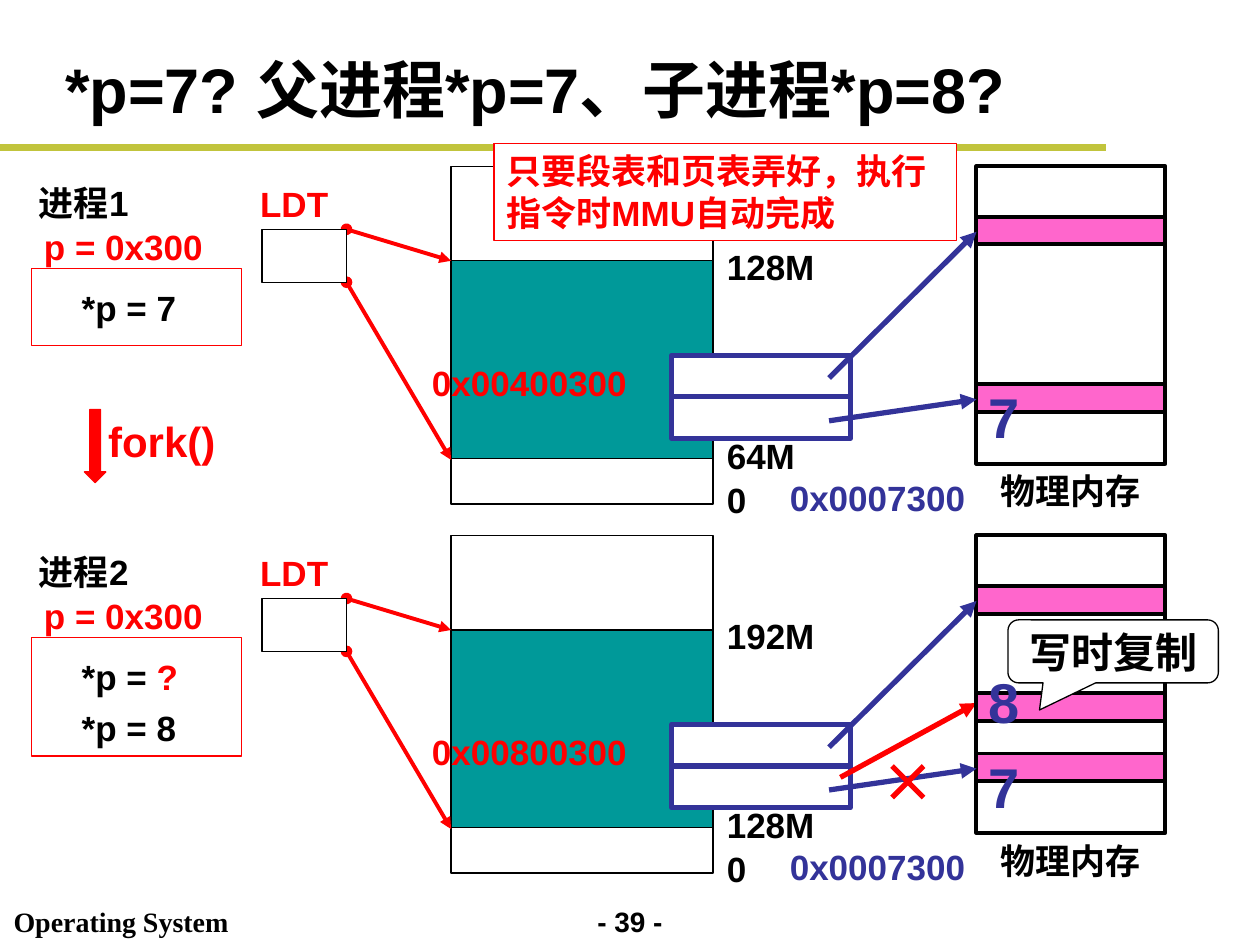
from typing import NamedTuple

from lxml import etree
from pptx import Presentation
from pptx.dml.color import RGBColor
from pptx.enum.shapes import MSO_CONNECTOR, MSO_SHAPE
from pptx.enum.text import MSO_ANCHOR, PP_ALIGN
from pptx.oxml.ns import qn
from pptx.util import Inches, Pt

RECTANGLE = MSO_SHAPE.RECTANGLE
DOWN_ARROW = MSO_SHAPE.DOWN_ARROW
CALLOUT = MSO_SHAPE.ROUNDED_RECTANGULAR_CALLOUT
STRAIGHT = MSO_CONNECTOR.STRAIGHT
LEFT, CENTER = PP_ALIGN.LEFT, PP_ALIGN.CENTER
TOP, MIDDLE = MSO_ANCHOR.TOP, MSO_ANCHOR.MIDDLE

COLORS = {
    "black": "000000",
    "white": "FFFFFF",
    "red": "FF0000",
    "blue": "333399",
    "teal": "009999",
    "pink": "FF66CC",
    "olive": "C1C43C",
}

SPACE_LEFT, SPACE_WIDTH = 3.58, 2.08
TABLE_LEFT, TABLE_WIDTH, ENTRY_HEIGHT = 5.33, 1.42, 0.33
MEMORY_LEFT, MEMORY_WIDTH, FRAME_HEIGHT = 7.75, 1.5, 0.22
LABEL_HEIGHT = 0.44


class Span(NamedTuple):
    text: str
    color: str = "black"


class Process(NamedTuple):
    top: float
    name: str
    code: list[list[Span]]
    code_height: float
    segment_end: str
    segment_start: str
    address: str


PROCESSES = [
    Process(1.32, "进程1", [[Span("*p = 7")]], 0.61, "128M", "64M", "0x00400300"),
    Process(4.25, "进程2", [[Span("*p = "), Span("?", "red")], [Span("*p = 8")]],
            0.94, "192M", "128M", "0x00800300"),
]


def rgb(name: str) -> RGBColor:
    return RGBColor.from_string(COLORS[name])


def write(shape, lines: list[list[Span]], size: float = 20, align=LEFT, anchor=TOP,
          font: str = "Arial", spacing: float = 1) -> None:
    frame = shape.text_frame
    frame.word_wrap = True
    frame.vertical_anchor = anchor
    for index, line in enumerate(lines):
        para = frame.add_paragraph() if index else frame.paragraphs[0]
        para.alignment = align
        para.line_spacing = spacing
        for span in line:
            run = para.add_run()
            run.text = span.text
            run.font.name = font
            run.font.size = Pt(size)
            run.font.bold = True
            run.font.color.rgb = rgb(span.color)


def add_label(page, left: float, top: float, width: float, text: str,
              color: str = "black", height: float = LABEL_HEIGHT, **style) -> None:
    box = page.shapes.add_textbox(Inches(left), Inches(top), Inches(width), Inches(height))
    write(box, [[Span(text, color)]], **style)


def add_block(page, left: float, top: float, width: float, height: float,
              fill: str | None = "white", line: str = "black",
              weight: float = 0.75, kind=RECTANGLE):
    block = page.shapes.add_shape(kind, Inches(left), Inches(top),
                                  Inches(width), Inches(height))
    block.shadow.inherit = False
    if fill:
        block.fill.solid()
        block.fill.fore_color.rgb = rgb(fill)
    else:
        block.fill.background()
    block.line.color.rgb = rgb(line)
    block.line.width = Pt(weight)
    return block


def add_line(page, start: tuple[float, float], end: tuple[float, float], color: str,
             weight: float = 3, head: str = "", tail: str = "") -> None:
    """Draw a straight line; head is the mark at its start, tail at its end."""
    line = page.shapes.add_connector(STRAIGHT, *(Inches(value) for value in start + end))
    line.line.color.rgb = rgb(color)
    line.line.width = Pt(weight)
    properties = line.line._get_or_add_ln()
    for tag, mark in (("a:headEnd", head), ("a:tailEnd", tail)):
        if mark:
            etree.SubElement(properties, qn(tag), type=mark)
    etree.SubElement(line._element.spPr, qn("a:effectLst"))


def add_memory_frame(page, top: float) -> None:
    add_block(page, MEMORY_LEFT, top, MEMORY_WIDTH, FRAME_HEIGHT, "pink", weight=2.25)


def add_value(page, top: float, value: str) -> None:
    add_label(page, MEMORY_LEFT, top, 0.83, value, "blue", height=0.64, size=32)


def draw_process(page, process: Process) -> None:
    """Draw the code, LDT, address space, page table and memory of one process."""
    top = process.top
    label_left = SPACE_LEFT + SPACE_WIDTH + 0.01

    add_block(page, SPACE_LEFT, top, SPACE_WIDTH, 2.68)
    add_label(page, label_left, top + 2.43, 0.5, "0")
    add_label(page, 0, top + 0.07, 1.33, process.name, align=CENTER)
    add_label(page, label_left, top + 0.58, 1.25, process.segment_end)
    add_label(page, label_left, top + 2.08, 1, process.segment_start)
    add_block(page, SPACE_LEFT, top + 0.75, SPACE_WIDTH, 1.57, "teal")
    for start, end in ((0.5, 0.75), (0.92, 2.33)):
        add_line(page, (2.75, top + start), (SPACE_LEFT, top + end), "red",
                 2.25, "oval", "triangle")
    add_block(page, 2.08, top + 0.5, 0.67, 0.42)
    add_label(page, 1.67, top + 0.08, 1.33, "LDT", "red", align=CENTER)

    add_block(page, MEMORY_LEFT, top, MEMORY_WIDTH, 2.36, None, weight=2.25)
    for offset in (0.4, 1.73):
        add_memory_frame(page, top + offset)
    add_label(page, MEMORY_LEFT, top + 2.36, MEMORY_WIDTH, "物理内存", align=CENTER)

    add_block(page, 0.25, top + 0.81, 1.67, process.code_height, line="red")
    code = page.shapes.add_textbox(Inches(0.55), Inches(top + 0.84),
                                   Inches(0.97), Inches(process.code_height - 0.06))
    write(code, process.code, spacing=1.2)

    for entry in (1, 0):
        add_block(page, TABLE_LEFT, top + 1.5 + entry * ENTRY_HEIGHT,
                  TABLE_WIDTH, ENTRY_HEIGHT, line="blue", weight=3)
    for start, end in ((2.02, 1.85), (1.68, 0.52)):
        add_line(page, (6.58, top + start), (MEMORY_LEFT, top + end), "blue",
                 tail="triangle")
    add_label(page, 0.25, top + 0.42, 2.08, "p = 0x300", "red")
    add_label(page, 3.33, top + 1.5, 2.17, process.address, "red")
    add_label(page, 6.17, top + 2.41, 2.17, "0x0007300", "blue")
    add_value(page, top + 1.67, "7")


def draw_copy_on_write(page) -> None:
    add_line(page, (6.67, 6.17), (MEMORY_LEFT, 5.58), "red", tail="triangle")
    add_memory_frame(page, 5.5)
    add_value(page, 5.25, "8")
    callout = add_block(page, 8, 4.92, 1.67, 0.5, kind=CALLOUT)
    for index, value in enumerate((-0.35, 0.93, 0.17)):
        callout.adjustments[index] = value
    write(callout, [[Span("写时复制")]], 24, CENTER, MIDDLE)
    for start, end in ((7.08, 7.33), (7.33, 7.08)):
        add_line(page, (start, 6.33), (end, 6.08), "red")


def main() -> None:
    deck = Presentation()
    deck.slide_width, deck.slide_height = Inches(10), Inches(7.5)
    page = deck.slides.add_slide(deck.slide_layouts[6])

    add_label(page, 4.5, 7.13, 1, "- 39 -", height=0.37, size=16, align=CENTER)
    add_label(page, 0.01, 7.13, 2.2, "Operating System", height=0.37, size=16,
              font="Times New Roman")
    add_line(page, (0, 1.17), (8.78, 1.17), "olive", 4)
    add_label(page, 0.42, 0.33, 9, "*p=7? 父进程*p=7、子进程*p=8?", height=0.74,
              size=36, anchor=MIDDLE)

    for process in PROCESSES:
        draw_process(page, process)
    add_block(page, 0.67, 3.25, 0.17, 0.58, "red", "red", kind=DOWN_ARROW)
    add_label(page, 0.76, 3.25, 1.2, "fork()", "red", height=0.5, size=24)
    draw_copy_on_write(page)

    note = add_block(page, 3.92, 1.14, 3.67, 0.77, line="red")
    write(note, [[Span("只要段表和页表弄好，执行指令时MMU自动完成", "red")]])

    deck.save("out.pptx")


if __name__ == "__main__":
    main()
